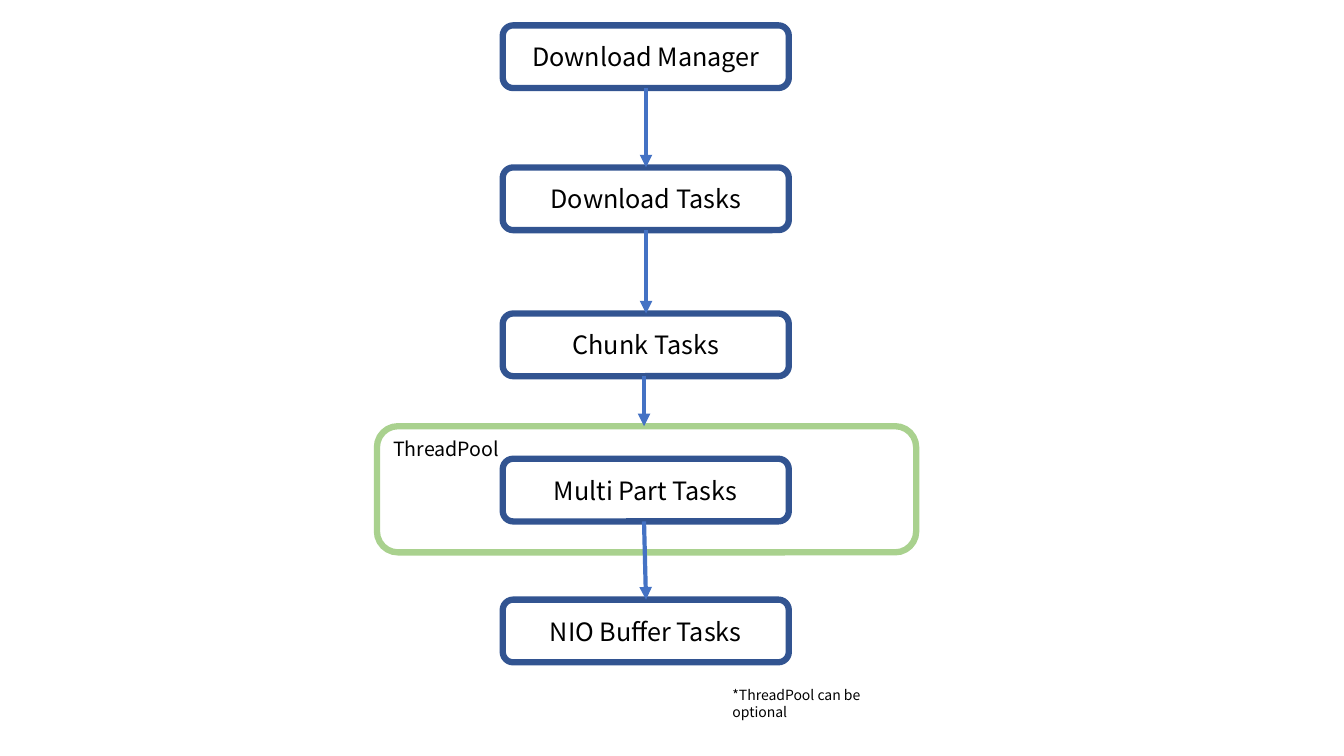
from lxml import etree
from pptx import Presentation
from pptx.dml.color import RGBColor
from pptx.enum.shapes import MSO_CONNECTOR, MSO_SHAPE
from pptx.enum.text import MSO_ANCHOR, PP_ALIGN
from pptx.oxml.ns import qn
from pptx.util import Cm, Pt

ROUND = MSO_SHAPE.ROUNDED_RECTANGLE
LINE = MSO_CONNECTOR.STRAIGHT
TOP, MID = MSO_ANCHOR.TOP, MSO_ANCHOR.MIDDLE
LEFT, CENTER = PP_ALIGN.LEFT, PP_ALIGN.CENTER
FONT = "Noto Sans CJK KR"
HEX = {"white": "FFFFFF", "black": "000000", "navy": "325491",
       "green": "A9D18E", "blue": "4472C4"}
RGB = {name: RGBColor.from_string(code) for name, code in HEX.items()}


def write(shape, text, size=18, align=CENTER, anchor=MID):
    frame = shape.text_frame
    frame.word_wrap = True
    frame.vertical_anchor = anchor
    para = frame.paragraphs[0]
    para.alignment = align
    run = para.add_run()
    run.text = text
    run.font.name = FONT
    run.font.size = Pt(size)
    run.font.color.rgb = RGB["black"]


def frame_box(left, top, wide, tall, edge):
    box = slide.shapes.add_shape(ROUND, Cm(left), Cm(top), Cm(wide), Cm(tall))
    box.shadow.inherit = False
    box.fill.solid()
    box.fill.fore_color.rgb = RGB["white"]
    box.line.color.rgb = RGB[edge]
    box.line.width = Pt(4.5)
    return box


deck = Presentation()
deck.slide_width, deck.slide_height = Cm(33.87), Cm(19.05)
slide = deck.slides.add_slide(deck.slide_layouts[6])

pool_top = 10.74
pool = frame_box(9.5, pool_top, 13.59, 3.18, "green")
write(pool, "ThreadPool", size=14, align=LEFT, anchor=TOP)

tall = 1.58
steps = [("Download Manager", 0.64), ("Download Tasks", 4.22),
         ("Chunk Tasks", 7.9), ("Multi Part Tasks", 11.56),
         ("NIO Buffer Tasks", 15.11)]
for text, top in steps:
    write(frame_box(12.67, top, 7.21, tall, "navy"), text)

tops = [top for text, top in steps]
mid, near = 16.28, 16.23
arrows = [(mid, tops[0], mid, tops[1]), (mid, tops[1], mid, tops[2]),
          (near, tops[2], near, pool_top), (near, tops[3], mid, tops[4])]
for x1, top, x2, end in arrows:
    arrow = slide.shapes.add_connector(
        LINE, Cm(x1), Cm(top + tall), Cm(x2), Cm(end))
    arrow.line.color.rgb = RGB["blue"]
    arrow.line.width = Pt(3)
    etree.SubElement(arrow.line._get_or_add_ln(), qn("a:tailEnd"), type="triangle")
    etree.SubElement(arrow._element.spPr, qn("a:effectLst"))

note = slide.shapes.add_textbox(Cm(18.21), Cm(17.17), Cm(5), Cm(0.69))
write(note, "*ThreadPool can be optional", size=10, align=LEFT, anchor=TOP)

deck.save("out.pptx")
